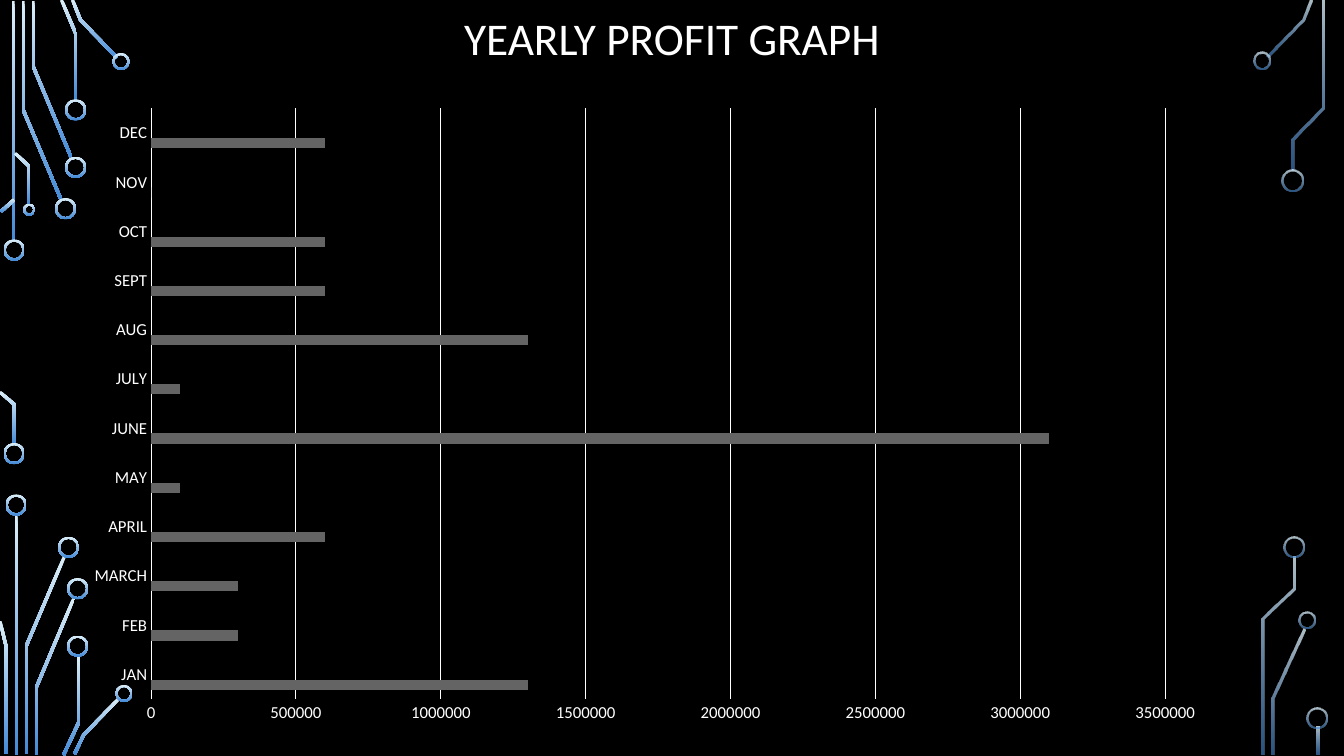
from pptx import Presentation
from pptx.chart.data import CategoryChartData
from pptx.dml.color import RGBColor
from pptx.enum.chart import XL_CHART_TYPE as CHART, XL_TICK_MARK as TICK
from pptx.enum.shapes import MSO_SHAPE as SHAPE
from pptx.enum.text import MSO_ANCHOR as ANCHOR, MSO_AUTO_SIZE as AUTO, PP_ALIGN as ALIGN
from pptx.oxml.ns import qn
from pptx.util import Pt

PX = 9144
FONT = "Calibri"
COLORS = {
    "background": "000000", "text": "FFFFFF", "trace_top": "DBEFF9",
    "trace_bottom": "448AD7", "series1": "646464", "series2": "B4B4B4",
    "series3": "8C8C8C",
}
PROFITS = {
    "JAN": 1300000, "FEB": 300000, "MARCH": 300000, "APRIL": 600000,
    "MAY": 100000, "JUNE": 3100000, "JULY": 100000, "AUG": 1300000,
    "SEPT": 600000, "OCT": 600000, "NOV": 0, "DEC": 600000,
}
SOLID, FADED = (100, 100), (80, 60)
CIRCUITS = [
    {"box": (0, 0), "opacity": SOLID,
     "traces": [[(13, 1), (13, 240)],
                [(23, 1), (23, 109), (61, 199)],
                [(33, 1), (33, 66), (71, 157)],
                [(61, 0), (75, 33), (75, 100)],
                [(72, 0), (80, 20), (116, 57)],
                [(1, 210), (14, 198)],
                [(15, 152), (29, 165), (29, 203)]],
     "rings": [(14, 248, 21), (65, 207, 21), (75, 166, 21),
               (75, 109, 21), (120, 61, 17), (29, 208, 12)]},
    {"box": (0, 388), "opacity": SOLID,
     "traces": [[(0, 1), (14, 13), (14, 53)]],
     "rings": [(14, 62, 21)]},
    {"box": (0, 490), "opacity": SOLID,
     "traces": [[(16, 20), (16, 259)],
                [(26, 258), (26, 151), (64, 62)],
                [(6, 258), (6, 151), (0, 126)],
                [(36, 259), (36, 192), (73, 104)],
                [(63, 259), (78, 227), (78, 160)],
                [(74, 258), (83, 239), (118, 203)]],
     "rings": [(16, 11, 21), (68, 53, 21), (77, 94, 21),
               (77, 151, 21), (123, 198, 17)]},
    {"box": (1243, 0), "opacity": FADED,
     "traces": [[(14, 56), (49, 20), (57, 0)],
                [(39, 169), (39, 138), (69, 107), (69, 1)]],
     "rings": [(9, 60, 17), (39, 179, 21)]},
    {"box": (1251, 532), "opacity": FADED,
     "traces": [[(12, 217), (12, 161), (42, 92)],
                [(2, 217), (2, 82), (32, 52), (32, 20)],
                [(56, 189), (56, 217)]],
     "rings": [(45, 83, 17), (32, 11, 21), (55, 180, 21)]},
]


def rgb(name):
    """Return the named colour."""
    return RGBColor.from_string(COLORS[name])


def style_font(font, size):
    """Apply the slide's typeface and text colour."""
    font.name, font.size = FONT, Pt(size)
    font.color.rgb = rgb("text")


def paint(sp, opacity):
    """Give a circuit part its downward gradient."""
    sp.shadow.inherit = False
    sp.line.fill.background()
    sp.fill.gradient()
    sp.fill.gradient_angle = 270
    names = ("trace_top", "trace_bottom")
    for i, (stop, name, percent) in enumerate(zip(sp.fill.gradient_stops, names, opacity)):
        stop.position = i
        stop.color.rgb = rgb(name)
        if percent < 100:
            clr = sp._element.spPr.findall(".//" + qn("a:srgbClr"))[i]
            clr.append(clr.makeelement(qn("a:alpha"), {"val": str(percent * 1000)}))


def ribbon(points, width):
    """Return the mitred outline around a centre line of complex points."""
    steps = [(b - a) / abs(b - a) for a, b in zip(points, points[1:])]
    bends = [a + b for a, b in zip(steps[:1] + steps, steps + steps[-1:])]
    offsets = [1j * m * width / abs(m) ** 2 for m in bends]
    left = [p + o for p, o in zip(points, offsets)]
    right = [p - o for p, o in zip(points, offsets)]
    return left + right[::-1]


def add_circuit(s, box, traces, rings, opacity, width=3, rim=2):
    """Draw one group of circuit traces and ring terminals from its box corner."""
    left, top = box
    shapes = s.shapes.add_group_shape().shapes
    for trace in traces:
        centre = [complex(left + x, top + y) * PX for x, y in trace]
        outline = [(p.real, p.imag) for p in ribbon(centre, width * PX)]
        builder = shapes.build_freeform(*outline[0])
        builder.add_line_segments(outline[1:], close=True)
        paint(builder.convert_to_shape(), opacity)
    for x, y, size in rings:
        corner = [round((v - size / 2) * PX) for v in (left + x, top + y)]
        sp = shapes.add_shape(SHAPE.DONUT, *corner, size * PX, size * PX)
        sp.adjustments[0] = rim / size
        paint(sp, opacity)


def add_title(s, box, text):
    """Place the slide title in its box."""
    sp = s.shapes.title
    sp.left, sp.top, sp.width, sp.height = (v * PX for v in box)
    tf = sp.text_frame
    tf.text = text
    tf.auto_size, tf.vertical_anchor, tf.word_wrap = AUTO.NONE, ANCHOR.MIDDLE, True
    p = tf.paragraphs[0]
    p.alignment, p.line_spacing = ALIGN.CENTER, 0.9
    style_font(p.font, 32.4)


def add_profit_chart(s, box):
    """Place the monthly profit bar chart in its box."""
    data = CategoryChartData()
    data.categories = list(PROFITS)
    data.add_series("Series 1", PROFITS.values())
    for name in ("Series 2", "Series 3"):
        data.add_series(name, [None] * len(PROFITS))
    frame = s.shapes.add_chart(CHART.BAR_CLUSTERED, *(v * PX for v in box), data)
    chart = frame.chart
    chart.has_title = chart.has_legend = False
    style_font(chart.font, 10)
    plot = chart.plots[0]
    plot.gap_width, plot.vary_by_categories = 182, False
    for i, series in enumerate(plot.series, 1):
        series.format.fill.solid()
        series.format.fill.fore_color.rgb = rgb(f"series{i}")
    months, amounts = chart.category_axis, chart.value_axis
    for axis in (months, amounts):
        axis.major_tick_mark = axis.minor_tick_mark = TICK.NONE
        style_font(axis.tick_labels.font, 12)
    amounts.minimum_scale, amounts.maximum_scale = 0, 3500000
    amounts.major_unit = 500000
    amounts.format.line.fill.background()
    for line in (months.format.line, amounts.major_gridlines.format.line):
        line.color.rgb, line.width = rgb("text"), Pt(0.75)


def main():
    """Build and save the profit slide."""
    prs = Presentation()
    prs.slide_width, prs.slide_height = 1333 * PX, 750 * PX
    s = prs.slides.add_slide(prs.slide_layouts[5])
    s.background.fill.solid()
    s.background.fill.fore_color.rgb = rgb("background")
    for circuit in CIRCUITS:
        add_circuit(s, **circuit)
    add_title(s, (125, 14, 1083, 53), "YEARLY PROFIT GRAPH")
    add_profit_chart(s, (71, 95, 1137, 635))
    prs.save("out.pptx")


if __name__ == "__main__":
    main()
